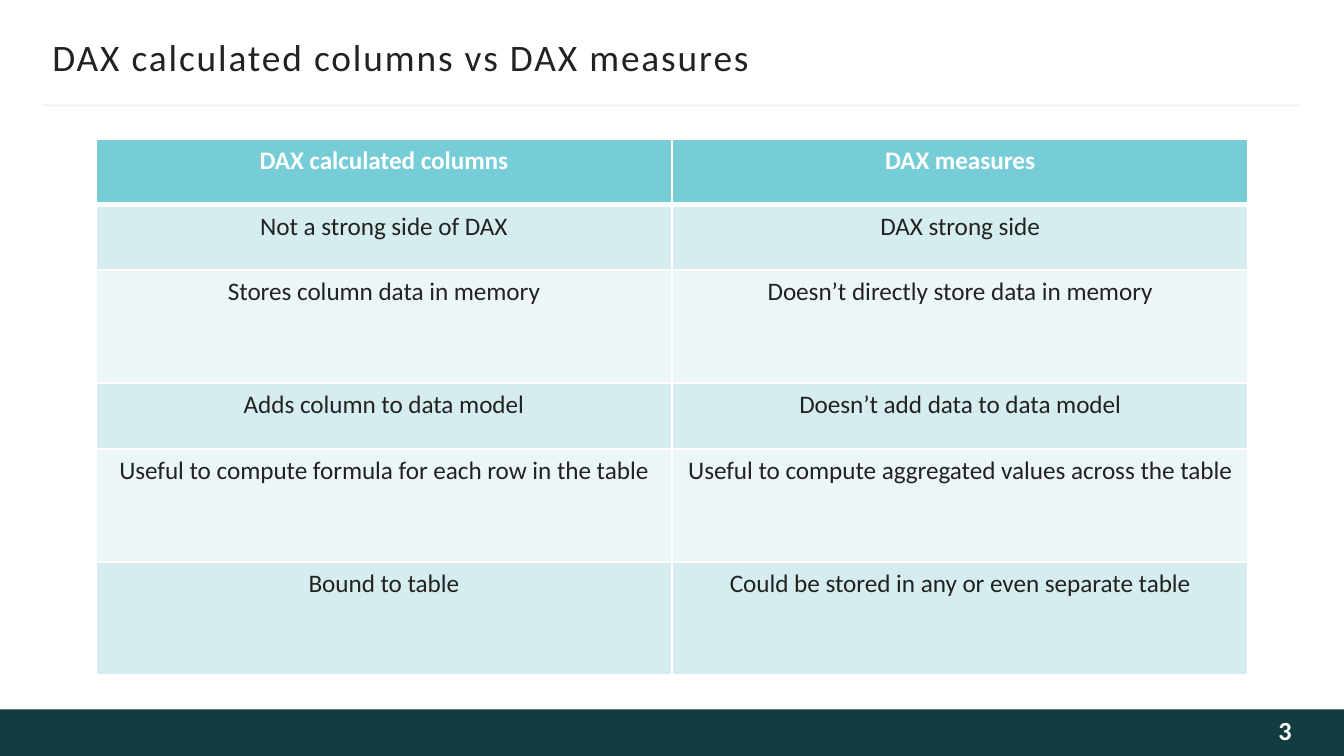
import dataclasses

import pptx
import pptx.dml.color
import pptx.enum.shapes
import pptx.enum.text
import pptx.oxml
import pptx.oxml.ns
import pptx.util

Pt = pptx.util.Pt
ALIGN = pptx.enum.text.PP_ALIGN
ANCHOR = pptx.enum.text.MSO_ANCHOR


@dataclasses.dataclass(frozen=True)
class Theme:
    """Colours, font and type sizes of the slide."""
    font: str = "Calibri"
    ink: str = "222222"
    white: str = "FFFFFF"
    number: str = "FEFEFE"
    footer: str = "133C41"
    rule: str = "F5F5F5"
    header: str = "76CDD8"
    bands: tuple = ("D6EDF0", "ECF6F8")
    title_size: float = 20
    table_size: float = 13.5
    number_size: float = 14


def rgb(value):
    """Turn a hex string into a colour."""
    return pptx.dml.color.RGBColor.from_string(value)


def assign(target, values):
    """Set attributes of an object from a dict."""
    for name, value in values.items():
        setattr(target, name, value)


class Builder:
    """Holds the theme and the current slide."""

    def __init__(self, slide, theme):
        """Keep the slide and the theme."""
        self.slide, self.theme = slide, theme

    def add_text(self, tf, text, size, color, bold=False, align=ALIGN.LEFT):
        """Put one formatted run in a text frame and return the run."""
        p = tf.paragraphs[0]
        p.alignment = align
        r = p.add_run()
        r.text = text
        assign(r.font, {"name": self.theme.font, "size": Pt(size), "bold": bold})
        r.font.color.rgb = rgb(color)
        return r

    def frame(self, tf, left=0, top=3.6, right=0, bottom=3.6):
        """Set margins, wrapping and anchor of a text frame."""
        assign(tf, {
            "margin_left": Pt(left), "margin_top": Pt(top),
            "margin_right": Pt(right), "margin_bottom": Pt(bottom),
            "word_wrap": True, "vertical_anchor": ANCHOR.MIDDLE,
            "auto_size": pptx.enum.text.MSO_AUTO_SIZE.NONE})

    def bar(self, x, y, w, h, color):
        """Draw a plain filled rectangle."""
        sp = self.slide.shapes.add_shape(
            pptx.enum.shapes.MSO_SHAPE.RECTANGLE, Pt(x), Pt(y), Pt(w), Pt(h))
        sp.shadow.inherit = False
        sp.fill.solid()
        sp.fill.fore_color.rgb = rgb(color)
        sp.line.fill.background()

    def rule(self, x1, x2, y, color, width):
        """Draw a horizontal line."""
        line = self.slide.shapes.add_connector(
            pptx.enum.shapes.MSO_CONNECTOR.STRAIGHT, Pt(x1), Pt(y), Pt(x2), Pt(y))
        line.line.color.rgb = rgb(color)
        line.line.width = Pt(width)
        line._element.spPr.append(pptx.oxml.parse_xml(
            f"<a:effectLst {pptx.oxml.ns.nsdecls('a')}/>"))

    def title(self, text, x, y, w, h):
        """Fill and place the title placeholder."""
        sp = self.slide.shapes.title
        assign(sp, {"left": Pt(x), "top": Pt(y), "width": Pt(w), "height": Pt(h)})
        self.frame(sp.text_frame)
        r = self.add_text(sp.text_frame, text, self.theme.title_size, self.theme.ink)
        r._r.get_or_add_rPr().set("spc", "100")

    def number(self, text, x, y, w, h):
        """Add the slide number."""
        sp = self.slide.shapes.add_textbox(Pt(x), Pt(y), Pt(w), Pt(h))
        self.frame(sp.text_frame, left=7.2, bottom=6.5)
        self.add_text(sp.text_frame, text, self.theme.number_size,
                      self.theme.number, True, ALIGN.RIGHT)

    def borders(self, cell, top, bottom):
        """Give a cell white borders of the stated widths."""
        tc_pr = cell._tc.get_or_add_tcPr()
        widths = {"L": 1, "R": 1, "T": top, "B": bottom}
        for i, (side, width) in enumerate(widths.items()):
            tc_pr.insert(i, pptx.oxml.parse_xml(
                f'<a:ln{side} {pptx.oxml.ns.nsdecls("a")} w="{int(Pt(width))}">'
                f'<a:solidFill><a:srgbClr val="{self.theme.white}"/></a:solidFill>'
                f'</a:ln{side}>'))

    def table(self, rows, x, y, col_width, heights):
        """Add a table with a header row and banded body rows."""
        t = self.theme
        n_cols = len(rows[0])
        table = self.slide.shapes.add_table(
            len(rows), n_cols, Pt(x), Pt(y),
            Pt(col_width * n_cols), Pt(sum(heights))).table
        for col in table.columns:
            col.width = Pt(col_width)
        for i, (texts, height) in enumerate(zip(rows, heights)):
            table.rows[i].height = Pt(height)
            head = i == 0
            fill = t.header if head else t.bands[(i - 1) % 2]
            for j, text in enumerate(texts):
                cell = table.cell(i, j)
                cell.fill.solid()
                cell.fill.fore_color.rgb = rgb(fill)
                self.borders(cell, 3 if i == 1 else 1, 3 if head else 1)
                self.add_text(cell.text_frame, text, t.table_size,
                              t.white if head else t.ink, head, ALIGN.CENTER)


ROWS = [
    ("DAX calculated columns", "DAX measures"),
    ("Not a strong side of DAX", "DAX strong side"),
    ("Stores column data in memory", "Doesn’t directly store data in memory"),
    ("Adds column to data model", "Doesn’t add data to data model"),
    ("Useful to compute formula for each row in the table",
     "Useful to compute aggregated values across the table"),
    ("Bound to table", "Could be stored in any or even separate table"),
]
SHORT, TALL = 35.2, 60.5


def main():
    """Build the slide and save it."""
    prs = pptx.Presentation()
    prs.slide_width, prs.slide_height = Pt(720), Pt(405)
    theme = Theme()
    b = Builder(prs.slides.add_slide(prs.slide_layouts[5]), theme)
    b.bar(0, 380, 720, 25, theme.footer)
    b.rule(23, 697, 56.4, theme.rule, 1.5)
    b.title("DAX calculated columns vs DAX measures", 28, 18.2, 664, 24)
    b.table(ROWS, 51.3, 74.4, 308.7, [SHORT, SHORT, TALL, SHORT, TALL, TALL])
    b.number("3", 584, 380, 108, 25)
    prs.save("out.pptx")


main()
